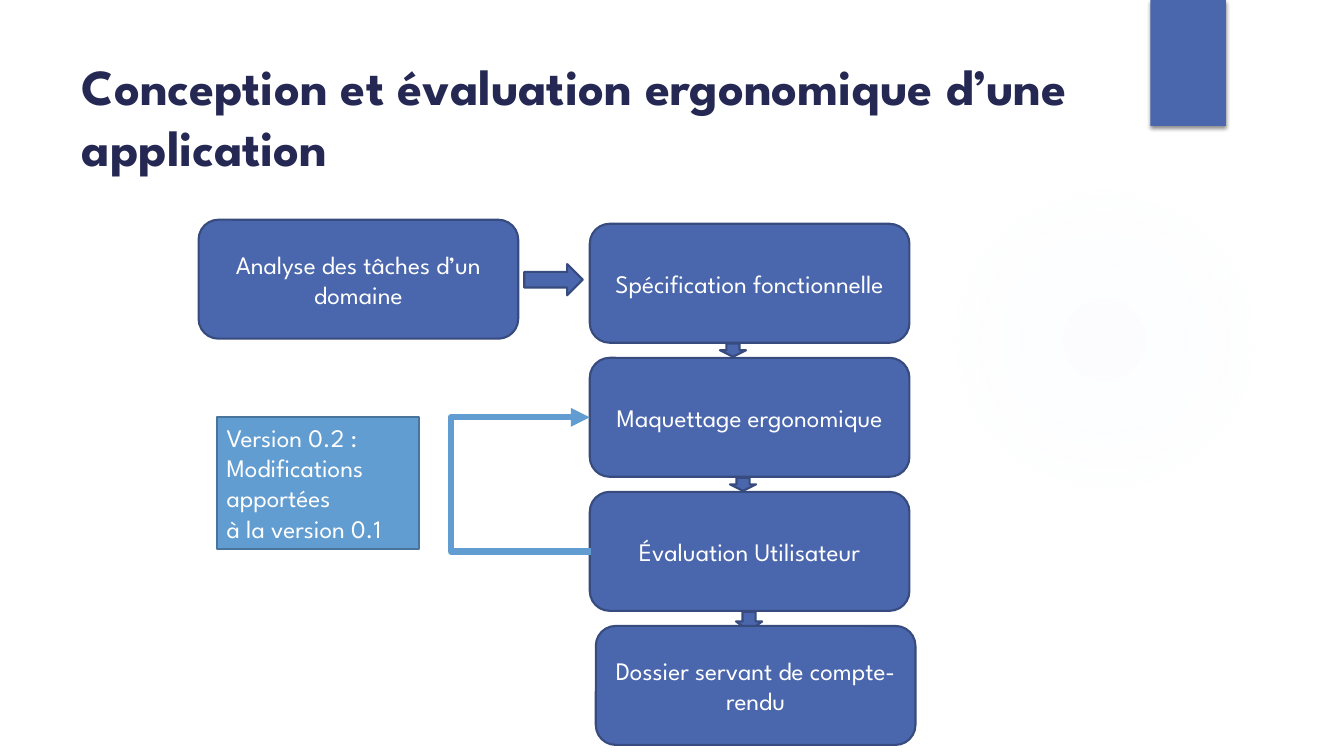
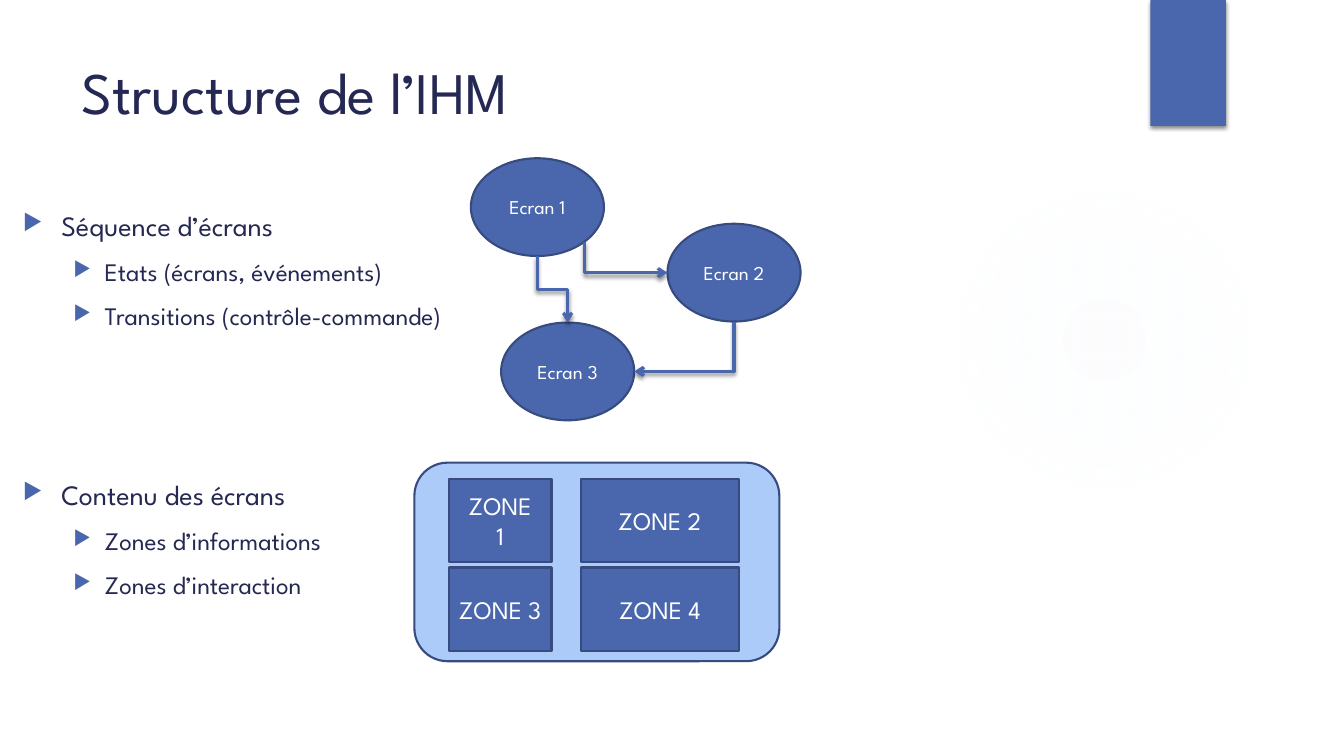
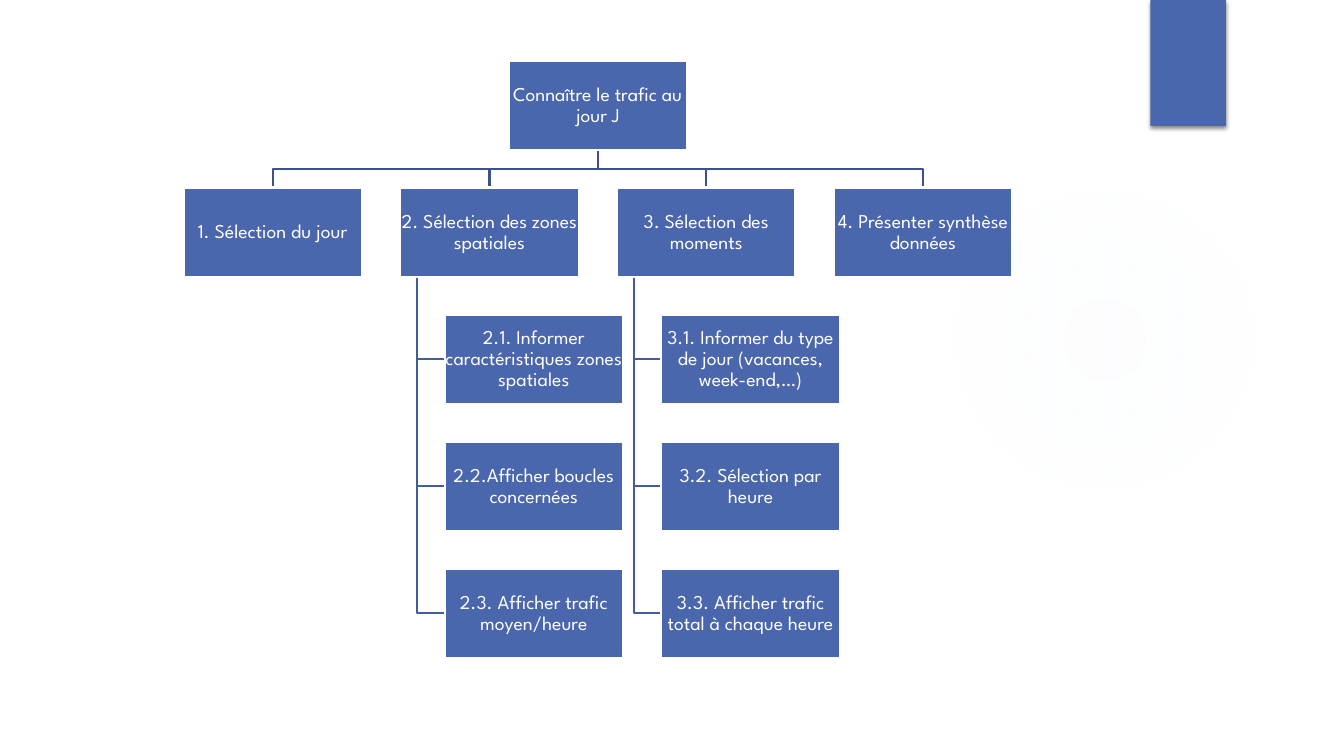
from math import cos, radians, sin

from lxml.etree import SubElement
from pptx import Presentation
from pptx.dml.color import RGBColor
from pptx.enum.shapes import MSO_CONNECTOR, MSO_SHAPE
from pptx.enum.text import MSO_ANCHOR, MSO_AUTO_SIZE, PP_ALIGN
from pptx.oxml import parse_xml
from pptx.oxml.ns import nsdecls, qn
from pptx.util import Inches, Pt

FONT = "League Spartan"
NAVY = RGBColor(0x24, 0x28, 0x52)
BLUE = RGBColor(0x4A, 0x66, 0xAC)
BLUE_EDGE = RGBColor(0x37, 0x4B, 0x7F)
SKY = RGBColor(0x62, 0x9D, 0xD1)
SKY_EDGE = RGBColor(0x49, 0x74, 0x9B)
PALE = RGBColor(0xAC, 0xCB, 0xF9)
GLOW = RGBColor(0xDE, 0xEA, 0xFD)
TRUNK = RGBColor(0x3B, 0x52, 0x8A)
BRANCH = RGBColor(0x43, 0x5D, 0x9C)
WHITE = RGBColor(0xFF, 0xFF, 0xFF)
TITLE_ONLY, BLANK = 5, 6


def format_runs(paragraph, size, color, bold=False):
    for run in paragraph.runs:
        run.font.name = FONT
        run.font.size = Pt(size)
        run.font.bold = bold
        run.font.color.rgb = color


def add_block(slide, kind, box, fill=BLUE, edge=BLUE_EDGE, label="", size=18,
              align=PP_ALIGN.CENTER, anchor=MSO_ANCHOR.MIDDLE, margin=0.05,
              spacing=None):
    """Flat shape with an optional label; box is left, top, width, height."""
    block = slide.shapes.add_shape(kind, *map(Inches, box))
    block.shadow.inherit = False
    block.fill.solid()
    block.fill.fore_color.rgb = fill
    if edge is None:
        block.line.fill.background()
    else:
        block.line.color.rgb = edge
        block.line.width = Pt(1.5)
    if label:
        frame = block.text_frame
        frame.word_wrap = True
        frame.vertical_anchor = anchor
        frame.margin_left = frame.margin_right = Inches(margin)
        frame.margin_top = frame.margin_bottom = Inches(min(margin, 0.05))
        frame.text = label
        for paragraph in frame.paragraphs:
            paragraph.alignment = align
            paragraph.line_spacing = spacing
            format_runs(paragraph, size, WHITE)
    return block


def drop_shadow(effects):
    shadow = SubElement(effects, qn("a:outerShdw"), blurRad=str(Pt(3)),
                        dist=str(Pt(2)), dir="5400000", rotWithShape="0")
    black = SubElement(shadow, qn("a:srgbClr"), val="000000")
    SubElement(black, qn("a:alpha"), val="45000")


def add_elbow(slide, start, end, turn, color, width, bends=2, head=None,
              reach=None, shadow=False):
    """Elbow connector that leaves start in the direction of turn.

    Turn is clockwise in degrees, 0 being rightwards. Reach places the middle
    segment, in multiples of the distance covered along that direction.
    """
    center_x, center_y = (start[0] + end[0]) / 2, (start[1] + end[1]) / 2
    half_x, half_y = (end[0] - start[0]) / 2, (end[1] - start[1]) / 2
    c, s = round(cos(radians(turn))), round(sin(radians(turn)))
    along, across = half_x * c + half_y * s, half_y * c - half_x * s
    elbow = slide.shapes.add_connector(
        MSO_CONNECTOR.ELBOW,
        Inches(center_x - along), Inches(center_y - across),
        Inches(center_x + along), Inches(center_y + across))
    elbow.line.color.rgb = color
    elbow.line.width = Pt(width)
    properties = elbow.element.spPr
    properties.find(qn("a:xfrm")).set("rot", str(turn * 60000))
    geometry = properties.find(qn("a:prstGeom"))
    geometry.set("prst", f"bentConnector{bends + 1}")
    if reach is not None:
        guides = geometry.find(qn("a:avLst"))
        SubElement(guides, qn("a:gd"), name="adj1",
                   fmla=f"val {round(reach * 100000)}")
    if head:
        SubElement(properties.find(qn("a:ln")), qn("a:tailEnd"), type=head)
    effects = SubElement(properties, qn("a:effectLst"))
    if shadow:
        drop_shadow(effects)


def down_turn(start, end):
    """Turn of a connector that starts downwards, to the left or the right."""
    return 270 if end[0] > start[0] else 90


def add_background(slide):
    halo = add_block(slide, MSO_SHAPE.OVAL, (9.41, 1.83, 3.08, 3.08), edge=None)
    halo.fill.background()
    stops = "".join(
        f'<a:gs pos="{place}000"><a:srgbClr val="{GLOW}">'
        f'<a:alpha val="{opacity}000"/></a:srgbClr></a:gs>'
        for place, opacity in ((0, 7), (36, 6), (69, 0)))
    gradient = parse_xml(
        f'<a:gradFill {nsdecls("a")}><a:gsLst>{stops}</a:gsLst>'
        '<a:path path="circle"><a:fillToRect l="50000" t="50000" r="50000" '
        'b="50000"/></a:path></a:gradFill>')
    properties = halo.element.spPr
    properties.replace(properties.find(qn("a:noFill")), gradient)
    band = add_block(slide, MSO_SHAPE.RECTANGLE, (11.41, 0, 0.75, 1.25), edge=None)
    drop_shadow(band.element.spPr.find(qn("a:effectLst")))


def new_slide(deck, title=None, size=42, bold=False):
    layout = deck.slide_layouts[BLANK if title is None else TITLE_ONLY]
    slide = deck.slides.add_slide(layout)
    add_background(slide)
    if title:
        heading = slide.shapes.title
        heading.left, heading.top = Inches(0.71), Inches(0.5)
        heading.width, heading.height = Inches(10.29), Inches(1.53)
        frame = heading.text_frame
        frame.text = title
        frame.word_wrap = True
        frame.auto_size = MSO_AUTO_SIZE.NONE
        frame.vertical_anchor = MSO_ANCHOR.TOP
        frame.paragraphs[0].alignment = PP_ALIGN.LEFT
        format_runs(frame.paragraphs[0], size, NAVY, bold)
    return slide


def add_process(slide, left, top):
    """Column of steps joined by arrows, with its input on the left."""
    width, height, pitch = 3.17, 1.18, 1.33
    steps = (  # label, shift, arrow shift, arrow height
        ("Spécification fonctionnelle", 0, 1.29, 0.13),
        ("Maquettage ergonomique", 0, 1.39, 0.13),
        ("Évaluation Utilisateur", 0, 1.45, 0.19),
        ("Dossier servant de compte-rendu", 0.06, None, None),
    )
    for row, (label, shift, arrow_shift, arrow_height) in enumerate(steps):
        y = top + row * pitch
        add_block(slide, MSO_SHAPE.ROUNDED_RECTANGLE,
                  (left + shift, y, width, height), label=label)
        if arrow_height:
            add_block(slide, MSO_SHAPE.DOWN_ARROW,
                      (left + arrow_shift, y + height + 0.01, 0.26, arrow_height))
    add_block(slide, MSO_SHAPE.ROUNDED_RECTANGLE,
              (left - 3.88, top - 0.04, width, height),
              label="Analyse des tâches d’un domaine")
    add_block(slide, MSO_SHAPE.RIGHT_ARROW, (left - 0.65, top + 0.4, 0.58, 0.31))

    mockup_y, review_y = (top + row * pitch + height / 2 for row in (1, 2))
    add_elbow(slide, (left + 0.01, review_y), (left, mockup_y), 180, SKY, 4.5,
              head="triangle", reach=141)
    add_block(slide, MSO_SHAPE.RECTANGLE, (left - 3.7, mockup_y, 2.01, 1.31),
              SKY, SKY_EDGE,
              "Version 0.2 :\nModifications\napportées\nà la version 0.1",
              align=PP_ALIGN.LEFT, anchor=MSO_ANCHOR.TOP, margin=0.1)


def add_topic(slide, left, top, topic, details):
    frame = slide.shapes.add_textbox(
        Inches(left), Inches(top), Inches(4.5), Inches(1.4)).text_frame
    frame.word_wrap = True
    frame.text = "\n".join((topic, *details))
    for row, paragraph in enumerate(frame.paragraphs):
        size, margin, hanging = (18, 0.81, 0.31) if row else (20, 0.38, 0.38)
        if row:
            paragraph.space_before = Pt(10)
        properties = paragraph._p.get_or_add_pPr()
        properties.set("marL", str(Inches(margin)))
        properties.set("indent", str(-Inches(hanging)))
        bullet_color = SubElement(properties, qn("a:buClr"))
        SubElement(bullet_color, qn("a:srgbClr"), val=str(BLUE))
        SubElement(properties, qn("a:buSzPct"), val="80000")
        SubElement(properties, qn("a:buChar"), char="▶")
        format_runs(paragraph, size, NAVY)


def add_screen_sequence(slide, left, top):
    width, height = 1.32, 0.97
    screens = [(left, top), (left + 1.95, top + 0.65), (left + 0.3, top + 1.63)]
    for number, (x, y) in enumerate(screens, 1):
        add_block(slide, MSO_SHAPE.OVAL, (x, y, width, height),
                  label=f"Ecran {number}", size=14)
    first, second, third = screens
    middle = width / 2
    transitions = (
        ((first[0] + 1.13, first[1] + 0.83), (second[0], second[1] + height / 2), 1),
        ((first[0] + middle, first[1] + height), (third[0] + middle, third[1]), 2),
        ((second[0] + middle, second[1] + height),
         (third[0] + width, third[1] + height / 2), 1),
    )
    for start, end, bends in transitions:
        add_elbow(slide, start, end, down_turn(start, end), BLUE, 2.25, bends,
                  head="arrow", shadow=True)


def add_screen_zones(slide, left, top):
    add_block(slide, MSO_SHAPE.ROUNDED_RECTANGLE, (left, top, 3.62, 1.97), PALE)
    columns = ((0.34, 1.02), (1.65, 1.57))
    for index, label in enumerate(("ZONE\n1", "ZONE 2", "ZONE 3", "ZONE 4")):
        row, column = divmod(index, 2)
        shift, width = columns[column]
        add_block(slide, MSO_SHAPE.RECTANGLE,
                  (left + shift, top + 0.16 + row * 0.88, width, 0.83), label=label)


def add_task_tree(slide, left, top):
    """Root task, a row of subtasks and the details hanging below them."""
    width, height, column_pitch, row_pitch = 1.77, 0.89, 2.15, 1.26
    tasks = (
        ("1. Sélection du jour", ()),
        ("2. Sélection des zones spatiales",
         ("2.1. Informer caractéristiques zones spatiales",
          "2.2.Afficher boucles concernées",
          "2.3. Afficher trafic moyen/heure")),
        ("3. Sélection des moments",
         ("3.1. Informer du type de jour (vacances, week-end,…)",
          "3.2. Sélection par heure",
          "3.3. Afficher trafic total à chaque heure")),
        ("4. Présenter synthèse données", ()),
    )
    root_x = left + column_pitch * (len(tasks) - 1) / 2
    root_foot = (root_x + width / 2, top + height)
    task_y = top + row_pitch
    boxes = [(root_x, top, "Connaître le trafic au jour J")]
    for column, (task, details) in enumerate(tasks):
        x = left + column * column_pitch
        boxes.append((x, task_y, task))
        task_head = (x + width / 2, task_y)
        add_elbow(slide, root_foot, task_head, down_turn(root_foot, task_head),
                  TRUNK, 1.5)
        for row, detail in enumerate(details, 1):
            detail_x, detail_y = x + 0.44, task_y + row * row_pitch
            boxes.append((detail_x, detail_y, detail))
            add_elbow(slide, (x + 0.17, task_y + height),
                      (detail_x, detail_y + height / 2), 270, BRANCH, 1.5, bends=1)
    for x, y, label in boxes:
        add_block(slide, MSO_SHAPE.RECTANGLE, (x, y, width, height), edge=WHITE,
                  label=label, size=14, margin=0, spacing=0.9)


def main():
    deck = Presentation()
    deck.slide_width, deck.slide_height = Inches(13.33), Inches(7.5)

    process = new_slide(
        deck, "Conception et évaluation ergonomique d’une application", 36, True)
    add_process(process, 5.85, 2.22)

    structure = new_slide(deck, "Structure de l’IHM")
    add_topic(structure, 0.13, 2.02, "Séquence d’écrans",
              ("Etats (écrans, événements)", "Transitions (contrôle-commande)"))
    add_topic(structure, 0.13, 4.69, "Contenu des écrans",
              ("Zones d’informations", "Zones d’interaction"))
    add_screen_sequence(structure, 4.67, 1.57)
    add_screen_zones(structure, 4.11, 4.59)

    add_task_tree(new_slide(deck), 1.82, 0.6)
    deck.save("out.pptx")


if __name__ == "__main__":
    main()
